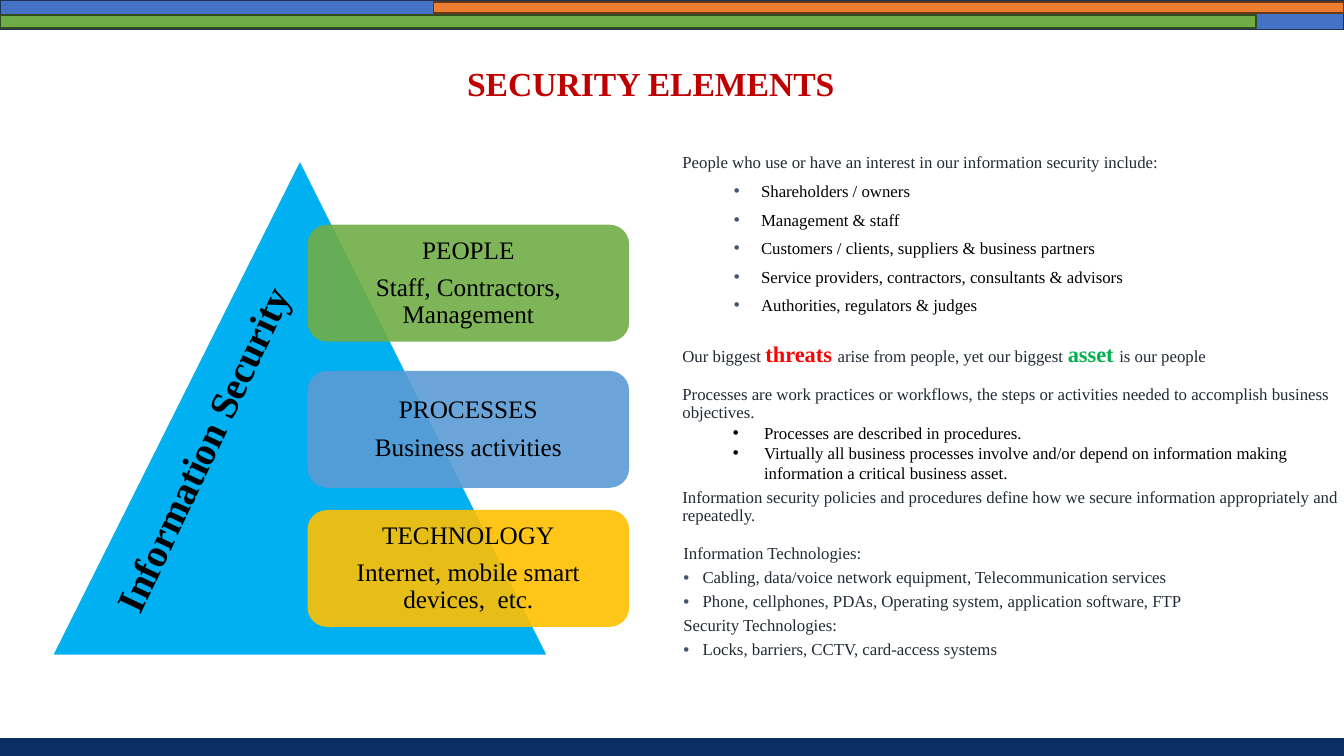
from lxml import etree
from pptx import Presentation
from pptx.dml.color import RGBColor
from pptx.enum.shapes import MSO_SHAPE as SHAPE
from pptx.enum.text import MSO_ANCHOR as ANCHOR, MSO_AUTO_SIZE as AUTO_SIZE, PP_ALIGN as ALIGN
from pptx.oxml.ns import qn
from pptx.util import Inches, Pt

COLORS = {
    "black": "000000", "white": "FFFFFF", "ink": "222A35", "slate": "44546A",
    "title": "C00000", "red": "FF0000", "emerald": "00B050",
    "sky": "00B0F0", "green": "70AD47", "blue": "5B9BD5", "gold": "FFC000",
    "royal": "4472C4", "orange": "ED7D31", "navy": "0B2F64",
    "royal edge": "1E3256", "green edge": "314C1F", "orange edge": "683715",
}


def add_block(kind, left, top, width, height, fill, edge=None):
    block = page.shapes.add_shape(kind, Inches(left), Inches(top), Inches(width), Inches(height))
    block.shadow.inherit = False
    block.fill.solid()
    block.fill.fore_color.rgb = RGBColor.from_string(COLORS[fill])
    if edge:
        block.line.color.rgb = RGBColor.from_string(COLORS[edge])
        block.line.width = Pt(1)
    else:
        block.line.fill.background()
    return block


def style(span, size, color, bold=False):
    span.font.name = "Times New Roman"
    span.font.size = Pt(size)
    span.font.bold = bold
    span.font.color.rgb = RGBColor.from_string(COLORS[color])


deck = Presentation()
deck.slide_width, deck.slide_height = Inches(13.33), Inches(7.5)
page = deck.slides.add_slide(deck.slide_layouts[5])

# Title
title = page.shapes.title
title.left, title.top, title.width, title.height = Inches(3.19), Inches(0.57), Inches(6.53), Inches(0.5)
title.text_frame.text = "SECURITY ELEMENTS"
title.text_frame.auto_size = AUTO_SIZE.NONE
title.text_frame.vertical_anchor = ANCHOR.TOP
title.text_frame.paragraphs[0].alignment = ALIGN.CENTER
style(title.text_frame.paragraphs[0].runs[0], 24, "title", True)

# Pyramid with its three layers
add_block(SHAPE.ISOSCELES_TRIANGLE, 0.52, 1.59, 4.91, 4.91, "sky", "white")
layers = [
    (2.23, "green", "PEOPLE", "Staff, Contractors, Management"),
    (3.68, "blue", "PROCESSES", "Business activities"),
    (5.06, "gold", "TECHNOLOGY", "Internet, mobile smart devices,  etc."),
]
for top, fill, heading, detail in layers:
    layer = add_block(SHAPE.ROUNDED_RECTANGLE, 3.05, top, 3.19, 1.16, fill)
    tint = layer.fill._xPr.find(qn("a:solidFill"))[0]
    etree.SubElement(tint, qn("a:alpha")).set("val", "90000")
    frame = layer.text_frame
    frame.word_wrap = True
    frame.vertical_anchor = ANCHOR.MIDDLE
    frame.margin_left = frame.margin_right = Inches(0.13)
    frame.margin_top = frame.margin_bottom = Inches(0.07)
    frame.text = f"{heading}\n{detail}"
    for para in frame.paragraphs:
        para.alignment = ALIGN.CENTER
        para.line_spacing = 0.9
        para.space_after = Pt(7)
        style(para.runs[0], 18, "black")

# Label along the pyramid's left edge
label = page.shapes.add_textbox(Inches(-0.23), Inches(4.02), Inches(4.46), Inches(0.87))
label.rotation = 295.3
label.text_frame.word_wrap = True
label.text_frame.vertical_anchor = ANCHOR.MIDDLE
label.text_frame.text = "Information Security"
label.text_frame.paragraphs[0].alignment = ALIGN.CENTER
style(label.text_frame.paragraphs[0].runs[0], 28, "black", True)

# Paragraph kinds: text colour, line spacing, space before, indent, hanging, bullet colour
KINDS = {
    "body": ("ink", 0.9, 4.2, 0, 0, None),
    "person": ("black", 1, 6, 0.78, 0.27, "slate"),
    "threat": ("ink", 1, 18, 0, 0, None),
    "process": ("black", 1, 0, 0.81, 0.31, "black"),
    "technology": ("ink", 0.9, 4.2, 0.19, 0.19, "slate"),
}
EMPHASIS = {"threats ": "red", "asset ": "emerald"}

# Explanations beside each layer
notes = [
    (6.67, 1.48, 6.96, 2.3, [
        ("body", ["People who use or have an interest in our information security include:"]),
        ("person", ["Shareholders / owners"]),
        ("person", ["Management & staff"]),
        ("person", ["Customers / clients, suppliers & business partners"]),
        ("person", ["Service providers, contractors, consultants & advisors"]),
        ("person", ["Authorities, regulators & judges"]),
        ("threat", ["Our biggest ", "threats ", "arise from people, yet our biggest ",
                    "asset ", "is our people"]),
    ]),
    (6.67, 3.78, 6.84, 1.49, [
        ("body", ["Processes are work practices or workflows, the steps or activities "
                  "needed to accomplish business objectives."]),
        ("process", ["Processes are described in procedures."]),
        ("process", ["Virtually all business processes involve and/or depend on information "
                     "making information a critical business asset."]),
        ("body", ["Information security policies and procedures define how we secure "
                  "information appropriately and repeatedly."]),
    ]),
    (6.68, 5.36, 6.84, 1.25, [
        ("body", ["Information Technologies:"]),
        ("technology", ["Cabling, data/voice network equipment, Telecommunication services"]),
        ("technology", ["Phone, cellphones, PDAs, Operating system, application software, FTP"]),
        ("body", ["Security Technologies:"]),
        ("technology", ["Locks, barriers, CCTV, card-access systems"]),
    ]),
]
for left, top, width, height, entries in notes:
    box = page.shapes.add_textbox(Inches(left), Inches(top), Inches(width), Inches(height))
    frame = box.text_frame
    frame.word_wrap = True
    for index, (kind, pieces) in enumerate(entries):
        color, spacing, before, indent, hanging, bullet = KINDS[kind]
        para = frame.add_paragraph() if index else frame.paragraphs[0]
        para.line_spacing = spacing
        para.space_before = Pt(before)
        for piece in pieces:
            span = para.add_run()
            span.text = piece
            strong = piece in EMPHASIS
            style(span, 16 if strong else 12, EMPHASIS.get(piece, color), strong)
        if bullet:
            props = para._p.get_or_add_pPr()
            props.set("marL", str(Inches(indent)))
            props.set("indent", str(-Inches(hanging)))
            tone = etree.SubElement(props, qn("a:buClr"))
            etree.SubElement(tone, qn("a:srgbClr")).set("val", COLORS[bullet])
            etree.SubElement(props, qn("a:buFont")).set("typeface", "Arial")
            etree.SubElement(props, qn("a:buChar")).set("char", "•")

# Header and footer bands
bands = [
    (0, 0, 13.33, 0.29, "royal", "royal edge"),
    (0, 0.15, 12.46, 0.13, "green", "green edge"),
    (4.3, 0.02, 9.03, 0.11, "orange", "orange edge"),
    (0, 7.33, 13.33, 0.18, "navy", "navy"),
]
for band in bands:
    add_block(SHAPE.RECTANGLE, *band)

deck.save("out.pptx")
